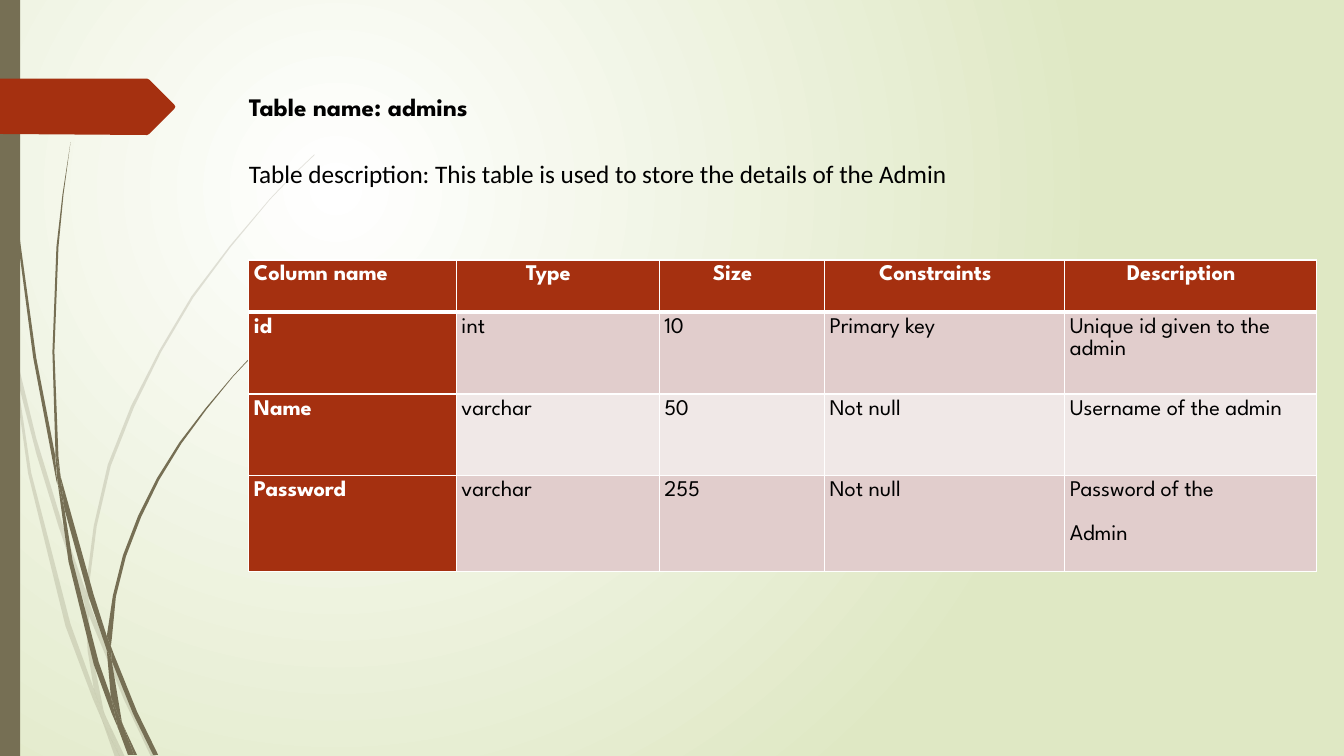
from lxml.etree import SubElement
from pptx import Presentation
from pptx.dml.color import RGBColor
from pptx.enum.shapes import MSO_SHAPE
from pptx.enum.text import PP_ALIGN
from pptx.oxml.ns import qn
from pptx.util import Cm, Pt

WHITE = RGBColor(0xFF, 0xFF, 0xFF)
BLACK = RGBColor(0, 0, 0)
PALE_GREEN = RGBColor(0xDF, 0xE8, 0xC4)
OLIVE = RGBColor(0x76, 0x6F, 0x54)
RUST = RGBColor(0xA5, 0x30, 0x10)
ROSE = RGBColor(0xE1, 0xCD, 0xCC)
LIGHT_ROSE = RGBColor(0xF0, 0xE8, 0xE7)

HEADING_FONT = "League Spartan"
BODY_FONT = "Calibri"
GRID = Cm(2.54)  # length of one unit in the outlines below

# Corner points of each grass blade section
FAINT_BLADES = [
    "0.11,3.5 0.09,3.22 0,2.82 0,2.99 0.1,3.44",
    "0.58,5.22 0.84,5.99 0.85,5.86 0.62,5.2 0.36,4.35 0.14,3.45 0.17,3.76 0.36,4.5",
    "0.92,6.07 0.88,5.96 0.88,6.1 1.23,6.94 1.5,7.51 1.55,7.51 1.27,6.92",
    "1.19,7.51 1.24,7.51 1.05,7.11",
    "0.93,6.83 0.7,6.19 0.31,4.69 0.17,3.76 0.11,3.5 0.28,4.7 0.65,6.21 0.92,6.93 1.01,7.14 0.99,7.07",
    "0.84,5.99 0.87,6.46 0.93,6.83 0.96,6.92 1.05,7.11 1.03,7.06 0.91,6.46 0.88,6.1 0.88,6.08",
    "0.88,5.84 0.96,5.22 1.1,4.62 1.33,4.04 1.6,3.49 1.92,2.95 2.29,2.45 2.68,1.98 2.9,1.75 3.12,1.54 "
    "3.12,1.53 2.89,1.75 2.68,1.97 2.28,2.44 1.9,2.94 1.58,3.48 1.3,4.03 1.07,4.61 0.93,5.22 "
    "0.85,5.84 0.85,5.86 0.88,5.96",
    "1.01,7.14 1.14,7.51 1.19,7.51",
    "0.88,6.08 0.88,6.1 0.88,5.96 0.85,5.86 0.84,5.99",
    "0.96,6.92 0.93,6.83 0.99,7.07 1.01,7.14 1.19,7.51 1.05,7.11",
]
DARK_BLADES = [
    "0.07,1.1 0.17,2.33 0.33,3.55 0.56,4.77 0.57,4.81 0.55,4.57 0.55,4.53 0.36,3.55 0.19,2.32 "
    "0.08,1.09 0.05,0.48 0.04,0 0.03,0 0.04,0.48",
    "0.88,5.92 1.06,6.45 1.06,6.33 1.06,6.31 0.93,5.9 0.6,4.72 0.64,5.05",
    "1.13,6.49 1.1,6.41 1.11,6.56 1.32,7.08 1.52,7.49 1.57,7.49 1.36,7.06",
    "1.1,6.91 0.98,6.57 0.72,5.56 0.64,5.05 0.57,4.77 0.68,5.57 0.93,6.59 1.11,7.08 1.17,7.22 1.16,7.17",
    "0.6,4.72 0.58,4.53 0.54,3.49 0.58,2.45 0.63,1.93 0.7,1.41 0.62,1.93 0.56,2.45 0.52,3.49 0.55,4.49",
    "1.33,7.49 1.36,7.49 1.22,7.19",
    "0.57,4.77 0.64,5.05 0.6,4.72 0.55,4.49 0.55,4.53",
    "1.11,6.33 1.15,5.92 1.25,5.52 1.4,5.13 1.58,4.76 1.8,4.4 2.05,4.06 2.31,3.74 2.45,3.59 2.61,3.44 "
    "2.6,3.44 2.45,3.58 2.31,3.73 2.04,4.05 1.78,4.39 1.56,4.74 1.37,5.12 1.22,5.51 1.12,5.91 "
    "1.06,6.31 1.1,6.41",
    "1.17,7.22 1.27,7.49 1.31,7.49",
    "1.06,6.45 1.1,6.91 1.16,7.06 1.22,7.19 1.21,7.16 1.11,6.56 1.09,6.51",
    "1.06,6.45 1.09,6.51 1.11,6.56 1.1,6.41 1.06,6.31 1.06,6.33",
    "1.16,7.06 1.1,6.91 1.16,7.17 1.17,7.22 1.3,7.49 1.33,7.49 1.22,7.19",
]
ARROW_TAG = "0,0.78 1.46,0.78 1.48,0.79 1.73,1.04 1.74,1.06 1.73,1.08 1.48,1.33 1.46,1.34 0,1.33"

COLUMN_WIDTHS = [5.23, 5.11, 4.17, 6.05, 6.34]
ROW_HEIGHTS = [1.32, 2.06, 2.06, 2.41]
ADMIN_ROWS = [
    ["Column name", "Type", "Size", "Constraints", "Description"],
    ["id", "int", "10", "Primary key", "Unique id given to the admin"],
    ["Name", "varchar", "50", "Not null", "Username of the admin"],
    ["Password", "varchar", "255", "Not null", "Password of the\nAdmin"],
]


def paint_background(slide):
    fill = slide.background.fill
    fill.gradient()
    for stop, color in zip(fill.gradient_stops, (WHITE, PALE_GREEN)):
        stop.color.rgb = color
    gradient = slide.element.find(".//" + qn("a:gradFill"))
    gradient.remove(gradient.find(qn("a:lin")))
    circle = SubElement(gradient, qn("a:path"), path="circle")
    SubElement(circle, qn("a:fillToRect"), l="50000", t="50000", r="100000", b="100000")


def paint_shape(shape, color, alpha=None):
    shape.shadow.inherit = False
    shape.fill.solid()
    shape.fill.fore_color.rgb = color
    shape.line.fill.background()
    if alpha:
        rgb = shape.element.spPr.find(f"{qn('a:solidFill')}/{qn('a:srgbClr')}")
        SubElement(rgb, qn("a:alpha"), val=str(alpha * 1000))


def add_outline(shapes, outline, color, alpha=None):
    pairs = [pair.split(",") for pair in outline.split()]
    start, *rest = [(float(x) * GRID, float(y) * GRID) for x, y in pairs]
    builder = shapes.build_freeform(*start)
    builder.add_line_segments(rest, close=True)
    paint_shape(builder.convert_to_shape(), color, alpha)


def add_blades(slide, blades, alpha=None):
    tuft = slide.shapes.add_group_shape()
    for blade in blades:
        add_outline(tuft.shapes, blade, OLIVE, alpha)


def style_font(font, name, size, color, bold):
    font.name, font.size, font.bold = name, Pt(size), bold
    font.color.rgb = color


def add_caption(slide, top, width, text, font_name, bold=False):
    frame = slide.shapes.add_textbox(Cm(6.02), Cm(top), Cm(width), Cm(1.02)).text_frame
    frame.word_wrap = True
    frame.text = text
    style_font(frame.paragraphs[0].font, font_name, 18, BLACK, bold)


def add_borders(cell, row):
    widths = {"L": 1, "R": 1, "T": 3 if row == 1 else 1, "B": 3 if row == 0 else 1}
    properties = cell._tc.get_or_add_tcPr()
    for position, (side, width) in enumerate(widths.items()):
        border = SubElement(properties, qn(f"a:ln{side}"), w=str(int(Pt(width))))
        SubElement(SubElement(border, qn("a:solidFill")), qn("a:srgbClr"), val=str(WHITE))
        properties.insert(position, border)  # borders come before the fill


def fill_cell(cell, text, row, column):
    is_label = row == 0 or column == 0
    is_centered = row == 0 and column > 0
    cell.margin_left, cell.margin_top, cell.margin_bottom = Cm(0.13), Cm(0.1), 0
    cell.margin_right = Cm(0.6 if is_centered else 0.2)
    cell.fill.solid()
    cell.fill.fore_color.rgb = RUST if is_label else ROSE if row % 2 else LIGHT_ROSE
    cell.text = text
    for paragraph in cell.text_frame.paragraphs:
        paragraph.alignment = PP_ALIGN.CENTER if is_centered else PP_ALIGN.LEFT
        paragraph.line_spacing = 1.07
        paragraph.space_after = Pt(15.7)
        style_font(paragraph.font, HEADING_FONT, 16, WHITE if is_label else BLACK, is_label)
    add_borders(cell, row)


def add_admin_table(slide):
    table = slide.shapes.add_table(len(ROW_HEIGHTS), len(COLUMN_WIDTHS), Cm(6.27), Cm(6.55),
                                   Cm(sum(COLUMN_WIDTHS)), Cm(sum(ROW_HEIGHTS))).table
    table.first_row = table.horz_banding = False
    for column, width in zip(table.columns, COLUMN_WIDTHS):
        column.width = Cm(width)
    for r, (height, texts) in enumerate(zip(ROW_HEIGHTS, ADMIN_ROWS)):
        table.rows[r].height = Cm(height)
        for c, text in enumerate(texts):
            fill_cell(table.cell(r, c), text, r, c)


def main():
    deck = Presentation()
    deck.slide_width, deck.slide_height = Cm(33.87), Cm(19.05)
    slide = deck.slides.add_slide(deck.slide_layouts[6])

    # Backdrop and decoration
    paint_background(slide)
    add_blades(slide, FAINT_BLADES, alpha=20)
    add_blades(slide, DARK_BLADES)
    side_band = slide.shapes.add_shape(MSO_SHAPE.RECTANGLE, 0, 0, Cm(0.51), deck.slide_height)
    paint_shape(side_band, OLIVE)
    add_outline(slide.shapes, ARROW_TAG, RUST)

    # Captions and table
    add_caption(slide, 2.18, 16.94, "Table name: admins", HEADING_FONT, bold=True)
    add_admin_table(slide)
    add_caption(slide, 3.86, 20.6,
                "Table description: This table is used to store the details of the Admin", BODY_FONT)
    deck.save("out.pptx")


if __name__ == "__main__":
    main()
